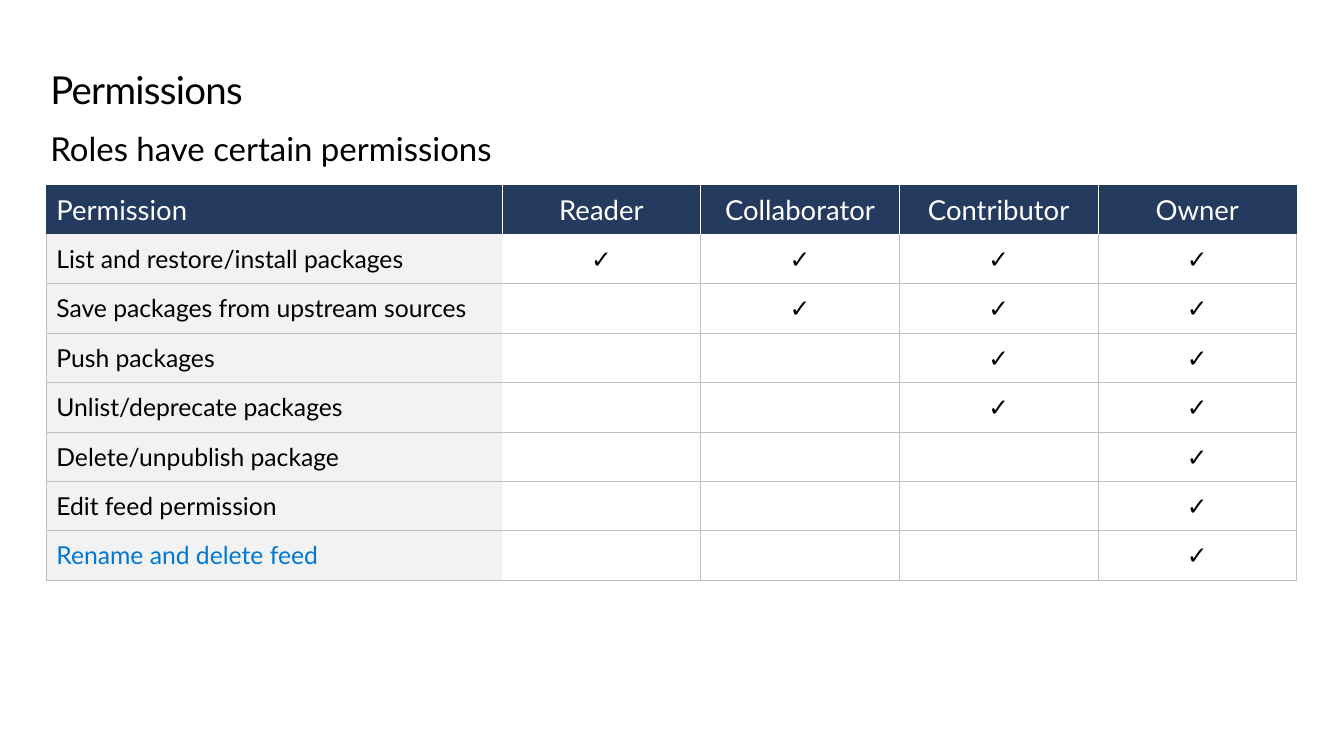
from dataclasses import dataclass

from lxml import etree
from pptx import Presentation
from pptx.dml.color import RGBColor
from pptx.enum.text import MSO_ANCHOR, PP_ALIGN
from pptx.oxml.ns import qn
from pptx.slide import Slide
from pptx.table import _Cell
from pptx.util import Inches, Pt

LEFT, CENTER = PP_ALIGN.LEFT, PP_ALIGN.CENTER
MIDDLE = MSO_ANCHOR.MIDDLE

BLACK = RGBColor(0x00, 0x00, 0x00)
WHITE = RGBColor(0xFF, 0xFF, 0xFF)
NAVY = RGBColor(0x24, 0x3A, 0x5E)
BLUE = RGBColor(0x00, 0x78, 0xD3)
PALE = RGBColor(0xF2, 0xF2, 0xF2)
GRAY = RGBColor(0xBF, 0xBF, 0xBF)

FONT = "Lato"
CHECK = "✓"
PLAIN_TABLE_STYLE = "{2D5ABB26-0587-4C30-8999-92F81FD0307C}"
SLIDE_W, SLIDE_H = Inches(13.6), Inches(7.65)
ROLES = ["Reader", "Collaborator", "Contributor", "Owner"]


@dataclass
class Heading:
    text: str
    top: float
    height: float
    size: int
    line: int | None = None
    spacing: int = 0


@dataclass
class Permission:
    name: str
    lowest_role: str
    color: RGBColor = BLACK


HEADINGS = [
    Heading("Permissions", 9.02, 5.88, 28, line=32, spacing=-50),
    Heading("Roles have certain permissions", 16.99, 5.23, 24),
]

PERMISSIONS = [
    Permission("List and restore/install packages", "Reader"),
    Permission("Save packages from upstream sources", "Collaborator"),
    Permission("Push packages", "Contributor"),
    Permission("Unlist/deprecate packages", "Contributor"),
    Permission("Delete/unpublish package", "Owner"),
    Permission("Edit feed permission", "Owner"),
    Permission("Rename and delete feed", "Owner", BLUE),
]


def across(percent: float) -> int:
    return round(SLIDE_W * percent / 100)


def down(percent: float) -> int:
    return round(SLIDE_H * percent / 100)


def add_heading(s: Slide, heading: Heading) -> None:
    box = s.shapes.add_textbox(
        across(3.75), down(heading.top), across(92.72), down(heading.height)
    )
    tf = box.text_frame
    tf.word_wrap = True
    tf.margin_left = tf.margin_right = tf.margin_top = tf.margin_bottom = 0
    p = tf.paragraphs[0]
    r = p.add_run()
    r.text = heading.text
    p.font.name, p.font.size = FONT, Pt(heading.size)
    p.font.color.rgb = BLACK
    if heading.line:
        p.line_spacing = Pt(heading.line)
    if heading.spacing:
        r.font._element.set("spc", str(heading.spacing))


def set_borders(cell: _Cell, borders: dict[str, RGBColor]) -> None:
    tcPr = cell._tc.get_or_add_tcPr()
    for i, side in enumerate("LRTB"):
        ln = etree.Element(qn(f"a:ln{side}"), w=str(Pt(0.5)))
        if side in borders:
            fill = etree.SubElement(ln, qn("a:solidFill"))
            etree.SubElement(fill, qn("a:srgbClr"), val=str(borders[side]))
        else:
            etree.SubElement(ln, qn("a:noFill"))
        tcPr.insert(i, ln)


def fill_cell(cell: _Cell, text: str, size: int, color: RGBColor,
              fill: RGBColor, align: PP_ALIGN,
              borders: dict[str, RGBColor]) -> None:
    cell.text = text
    cell.vertical_anchor = MIDDLE
    cell.fill.solid()
    cell.fill.fore_color.rgb = fill
    p = cell.text_frame.paragraphs[0]
    p.alignment = align
    p.font.name, p.font.size = FONT, Pt(size)
    p.font.color.rgb = color
    set_borders(cell, borders)


def header_borders(col: int) -> dict[str, RGBColor]:
    return {
        "L": WHITE if col > 0 else NAVY,
        "R": WHITE if col < len(ROLES) else NAVY,
    }


def body_borders(row: int, col: int) -> dict[str, RGBColor]:
    sides = "B" + "T" * (row > 1) + "L" * (col != 1) + "R" * (col != 0)
    return {side: GRAY for side in sides}


def add_permission_table(s: Slide) -> None:
    rows, cols = len(PERMISSIONS) + 1, len(ROLES) + 1
    name_w, role_w, row_h = across(33.9), across(14.78), down(6.54)
    table = s.shapes.add_table(
        rows, cols, across(3.46), down(24.44),
        name_w + role_w * len(ROLES), row_h * rows,
    ).table
    table.first_row = table.horz_banding = False
    table._tbl.tblPr.find(qn("a:tableStyleId")).text = PLAIN_TABLE_STYLE
    for col, column in enumerate(table.columns):
        column.width = role_w if col else name_w
    for row in table.rows:
        row.height = row_h

    for col, title in enumerate(["Permission", *ROLES]):
        fill_cell(table.cell(0, col), title, 20, WHITE, NAVY,
                  CENTER if col else LEFT, header_borders(col))
    for row, permission in enumerate(PERMISSIONS, 1):
        fill_cell(table.cell(row, 0), permission.name, 18, permission.color,
                  PALE, LEFT, body_borders(row, 0))
        lowest = ROLES.index(permission.lowest_role) + 1
        for col in range(1, cols):
            fill_cell(table.cell(row, col), CHECK if col >= lowest else "",
                      18, BLACK, WHITE, CENTER, body_borders(row, col))


def main() -> None:
    prs = Presentation()
    prs.slide_width, prs.slide_height = SLIDE_W, SLIDE_H
    s = prs.slides.add_slide(prs.slide_layouts[6])
    for heading in HEADINGS:
        add_heading(s, heading)
    add_permission_table(s)
    prs.save("out.pptx")


if __name__ == "__main__":
    main()
